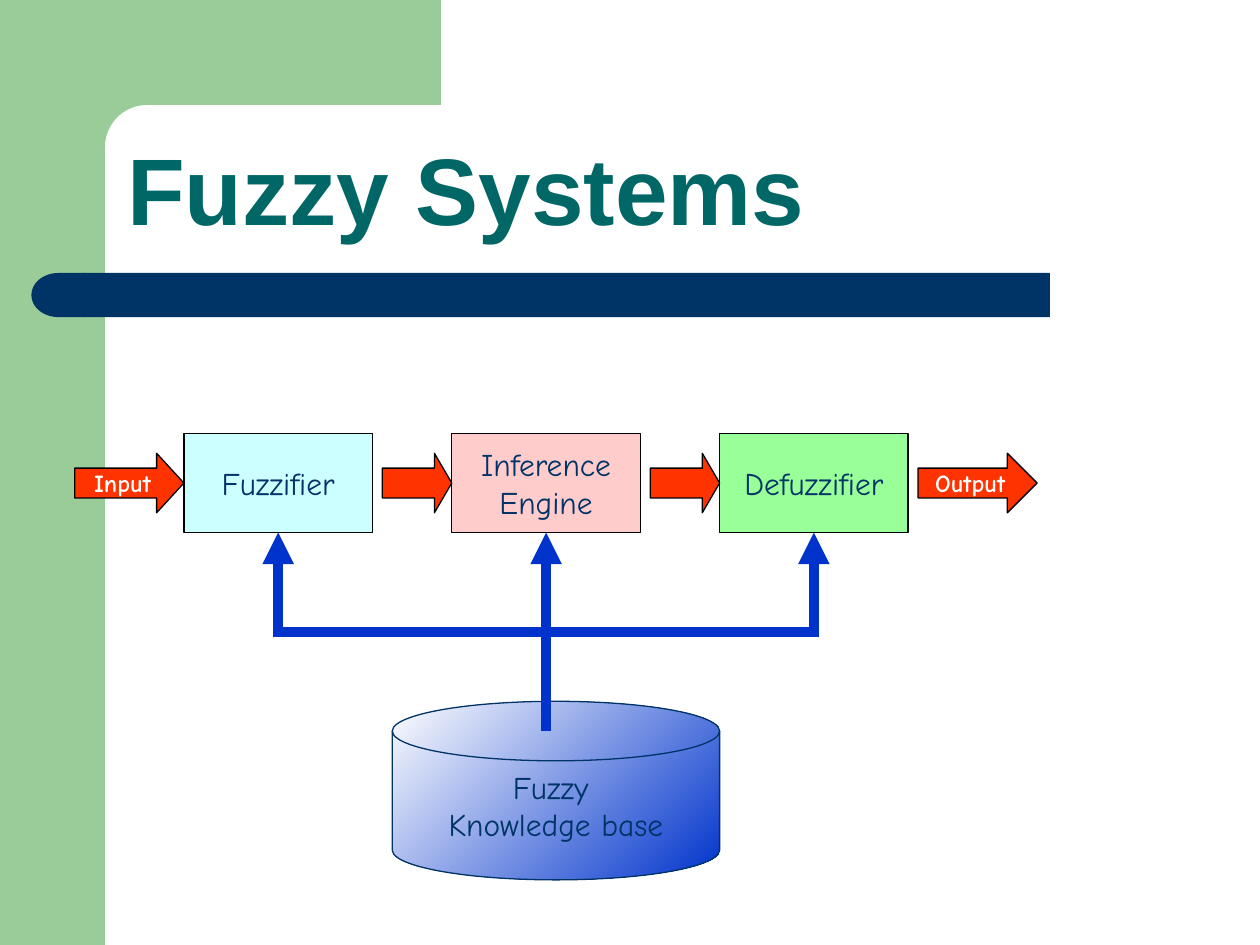
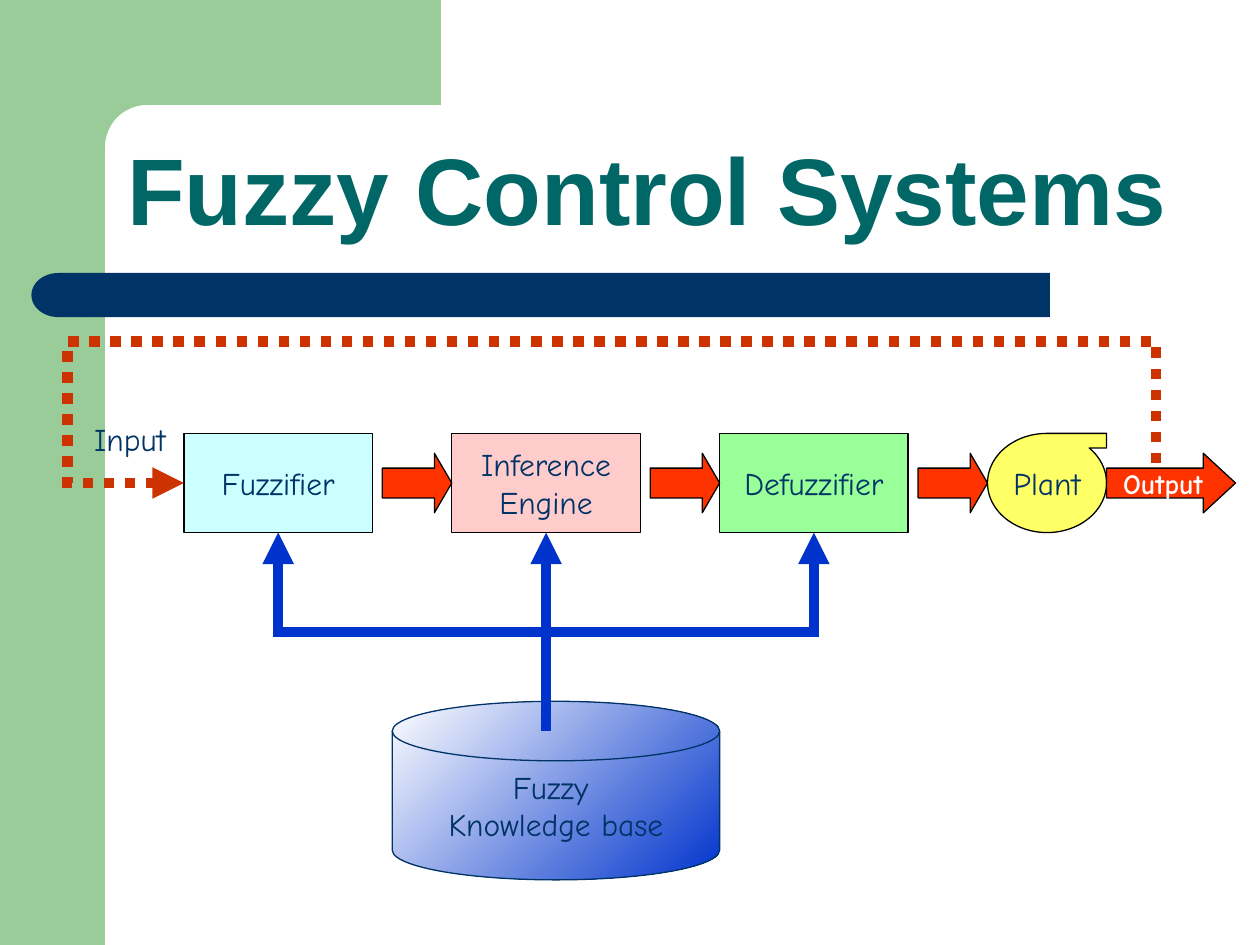
from dataclasses import dataclass
from math import cos, pi, sin

from lxml import etree
from pptx import Presentation
from pptx.dml.color import RGBColor
from pptx.enum.dml import MSO_LINE
from pptx.enum.shapes import MSO_CONNECTOR, MSO_SHAPE
from pptx.enum.text import MSO_ANCHOR, MSO_AUTO_SIZE, PP_ALIGN
from pptx.oxml.ns import qn
from pptx.util import Inches, Mm, Pt

RECT, ARROW = MSO_SHAPE.RECTANGLE, MSO_SHAPE.RIGHT_ARROW
DELAY = MSO_SHAPE.FLOWCHART_DELAY
DISK = MSO_SHAPE.FLOWCHART_MAGNETIC_DISK
TAPE = MSO_SHAPE.FLOWCHART_SEQUENTIAL_ACCESS_STORAGE
STRAIGHT, ELBOW = MSO_CONNECTOR.STRAIGHT, MSO_CONNECTOR.ELBOW
DOTTED = MSO_LINE.ROUND_DOT
LEFT, CENTER = PP_ALIGN.LEFT, PP_ALIGN.CENTER
TOP, MIDDLE, BOTTOM = MSO_ANCHOR.TOP, MSO_ANCHOR.MIDDLE, MSO_ANCHOR.BOTTOM
NO_FIT, GROW = MSO_AUTO_SIZE.NONE, MSO_AUTO_SIZE.SHAPE_TO_FIT_TEXT

COLORS = {
    "leaf": "99CC99", "navy": "003366", "title": "006666",
    "black": "000000", "white": "FFFFFF", "blue": "0033CC",
    "arrow": "FF3300", "feedback": "CC3300", "aqua": "CCFFFF",
    "pink": "FFCCCC", "green": "99FF99", "yellow": "FFFF66",
}
TITLE_FONT, FLOW_FONT = "Arial", "Comic Neue"


@dataclass
class Grid:
    """Square cells of one size, counted from an origin."""
    cell: float
    left: int = 0
    top: int = 0

    def point(self, col, row):
        return round(self.left + col * self.cell), round(self.top + row * self.cell)

    def box(self, col, row, cols, rows):
        return *self.point(col, row), round(cols * self.cell), round(rows * self.cell)


PAGE = Grid(Inches(10) / 12)                       # 12 columns, 9 rows
FLOW = Grid(Mm(2), Inches(1.46), Inches(3.44))     # starts at the first stage

STAGE_W, STAGE_H, STAGE_STEP = 19, 10, 27
ARROW_ROW, ARROW_H, ARROW_W = 2, 6, 7
STAGES = [(["Fuzzifier"], "aqua"), (["Inference", "Engine"], "pink"),
          (["Defuzzifier"], "green")]


def rgb(name):
    return RGBColor.from_string(COLORS[name])


class Deck:
    def __init__(self):
        self.prs = Presentation()
        self.prs.slide_width, self.prs.slide_height = Inches(10), Inches(7.5)
        self.s = None

    def slide(self, title):
        self.s = self.prs.slides.add_slide(self.prs.slide_layouts[5])
        sp = self.s.shapes.title
        sp.left, sp.top, sp.width, sp.height = PAGE.box(1.09, 1.09, 10.21, 1.31)
        self.text(sp, [title], 54, "title", LEFT, BOTTOM, TITLE_FONT, True)
        sp.text_frame.word_wrap = True
        sp.text_frame.paragraphs[0].line_spacing = 0.9
        self.frame()

    def frame(self):
        """Green side band with its rounded corner, and the bar under the title."""
        self.shape(RECT, PAGE.box(0, 0, 1, 9), "leaf")
        steps, radius = 12, 0.4
        angles = [pi / 2 * i / steps for i in range(steps + 1)]
        arc = [(1 + radius * (1 - sin(a)), 1 + radius * (1 - cos(a))) for a in angles]
        outline = [(4.2, 0), (4.2, 1), *arc, (1, 1.54), (0.6, 1.54), (0.6, 0)]
        points = [PAGE.point(*p) for p in outline]
        builder = self.s.shapes.build_freeform(*points[0])
        builder.add_line_segments(points[1:], close=True)
        self.paint(builder.convert_to_shape(), "leaf")
        self.shape(RECT, PAGE.box(0.8, 2.6, 9.2, 0.42), "navy")
        self.flip(self.shape(DELAY, PAGE.box(0.3, 2.6, 0.51, 0.42), "navy"), "flipH")

    def paint(self, sp, fill, line=None):
        sp.shadow.inherit = False
        if isinstance(fill, tuple):
            sp.fill.gradient()
            sp.fill.gradient_angle = 315
            for stop, name in zip(sp.fill.gradient_stops, fill):
                stop.color.rgb = rgb(name)
        else:
            sp.fill.solid()
            sp.fill.fore_color.rgb = rgb(fill)
        if line:
            sp.line.color.rgb = rgb(line)
            sp.line.width = Pt(0.75)
        else:
            sp.line.fill.background()

    def shape(self, kind, box, fill, line=None):
        sp = self.s.shapes.add_shape(kind, *box)
        self.paint(sp, fill, line)
        return sp

    def flip(self, sp, axis):
        sp.element.spPr.find(qn("a:xfrm")).set(axis, "1")

    def text(self, sp, lines, size=18, color="navy", align=CENTER,
             anchor=MIDDLE, font=FLOW_FONT, bold=False):
        tf = sp.text_frame
        tf.word_wrap, tf.auto_size, tf.vertical_anchor = False, NO_FIT, anchor
        for i, line in enumerate(lines):
            p = tf.add_paragraph() if i else tf.paragraphs[0]
            p.alignment = align
            r = p.add_run()
            r.text = line
            r.font.name, r.font.size, r.font.bold = font, Pt(size), bold
            r.font.color.rgb = rgb(color)

    def label(self, words, box):
        sp = self.s.shapes.add_textbox(*box)
        self.text(sp, [words], align=LEFT, anchor=TOP)
        sp.text_frame.auto_size = GROW

    def arrow(self, col, cols=ARROW_W, words=None, size=14):
        sp = self.shape(ARROW, FLOW.box(col, ARROW_ROW, cols, ARROW_H), "arrow", "black")
        sp.adjustments[1] = cols / (4 * ARROW_H)
        if words:
            self.text(sp, [words], size, "white", bold=True)

    def connector(self, kind, start, end, color):
        c = self.s.shapes.add_connector(kind, *start, *end)
        c.line.color.rgb = rgb(color)
        c.line.width = Pt(6)
        spPr = c.element.spPr
        ln = spPr.find(qn("a:ln"))
        etree.SubElement(ln, qn("a:miter"), lim="800000")
        etree.SubElement(ln, qn("a:tailEnd"), type="triangle")
        etree.SubElement(spPr, qn("a:effectLst"))
        return c

    def elbow(self, start, end, color, bends=(0.5,)):
        """Bent connector that leaves its start vertically."""
        (x1, y1), (x2, y2) = start, end
        w, h = abs(y2 - y1), abs(x2 - x1)
        left, top = (x1 + x2 - w) // 2, (y1 + y2 - h) // 2
        c = self.connector(ELBOW, (left, top), (left + w, top + h), color)
        up = y2 < y1
        c.element.spPr.find(qn("a:xfrm")).set("rot", str((270 if up else 90) * 60000))
        if (x2 < x1) == up:
            self.flip(c, "flipV")
        geom = c.element.spPr.find(qn("a:prstGeom"))
        geom.set("prst", f"bentConnector{len(bends) + 2}")
        guides = geom.find(qn("a:avLst"))
        for i, bend in enumerate(bends, 1):
            etree.SubElement(guides, qn("a:gd"), name=f"adj{i}",
                             fmla=f"val {round(bend * 100000)}")
        return c

    def fuzzy_system(self):
        """Knowledge base feeding the three stages, with arrows between them."""
        base = self.shape(DISK, FLOW.box(21, 27, 33, 18), ("white", "blue"), "navy")
        self.text(base, ["Fuzzy ", "Knowledge base"])
        lefts = [i * STAGE_STEP for i in range(len(STAGES))]
        tips = [FLOW.point(col + STAGE_W / 2, STAGE_H) for col in lefts]
        source = FLOW.point(STAGE_STEP + STAGE_W / 2, 30)
        self.elbow(source, tips[0], "blue")
        self.elbow(source, tips[2], "blue")
        self.connector(STRAIGHT, source, tips[1], "blue")
        for col, (lines, fill) in zip(lefts, STAGES):
            sp = self.shape(RECT, FLOW.box(col, 0, STAGE_W, STAGE_H), fill, "black")
            self.text(sp, lines)
        for col in lefts[:-1]:
            self.arrow(col + STAGE_W + 1)

    def plant(self, col, cols):
        sp = self.shape(TAPE, FLOW.box(col, 0, cols, STAGE_H), "yellow", "black")
        self.flip(sp, "flipV")
        self.text(sp, ["Plant"])
        # The flip turns the text over, so it is turned back
        sp.element.txBody.find(qn("a:bodyPr")).set("rot", str(180 * 60000))


def main():
    deck = Deck()
    after_stages = 2 * STAGE_STEP + STAGE_W + 1

    deck.slide("Fuzzy Systems")
    deck.fuzzy_system()
    deck.arrow(-11, 11, "Input")
    deck.arrow(after_stages, 12, "Output")

    deck.slide("Fuzzy Control Systems")
    deck.fuzzy_system()
    deck.arrow(after_stages)
    plant_col, plant_cols = after_stages + ARROW_W, 12
    deck.plant(plant_col, plant_cols)
    deck.arrow(plant_col + plant_cols, 13, "Output", 16)
    feedback = deck.elbow(FLOW.point(98, 3), FLOW.point(0, 5), "feedback", (-6.12, 1.12))
    feedback.line.dash_style = DOTTED
    deck.label("Input", FLOW.box(-10.3, -2, 9.8, 5))

    deck.prs.save("out.pptx")


if __name__ == "__main__":
    main()
